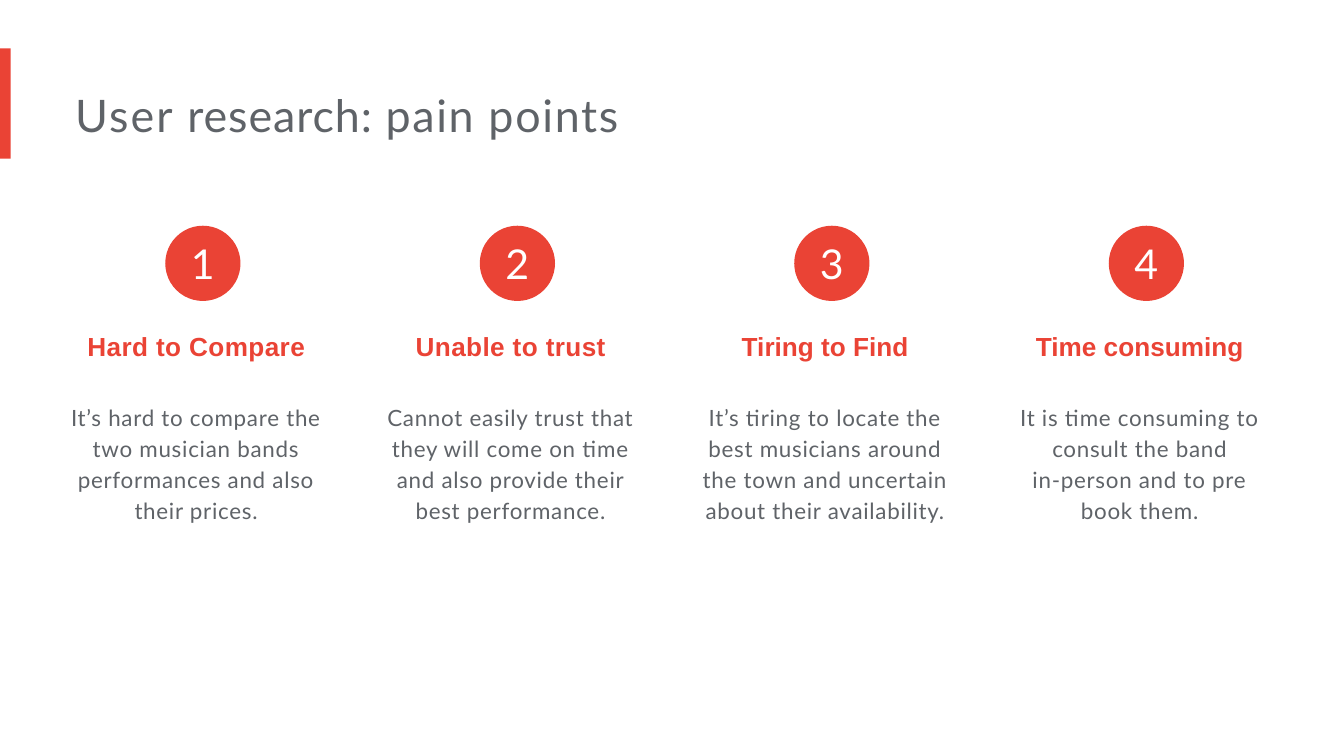
import pptx
import pptx.dml.color
import pptx.enum.shapes
import pptx.enum.text
import pptx.util

Inches = pptx.util.Inches
Align = pptx.enum.text.PP_ALIGN
Anchor = pptx.enum.text.MSO_ANCHOR
Shape = pptx.enum.shapes.MSO_SHAPE

RED, GREY, WHITE = "EA4335", "5F6368", "FFFFFF"

# Heading, its letter spacing, description paragraphs
PAIN_POINTS = [
    ("Hard to Compare", 0.2,
     ["It’s hard to compare the two musician bands performances and also their prices."]),
    ("Unable to trust", 0.2,
     ["Cannot easily trust that they will come on time and also provide their best performance."]),
    ("Tiring to Find", 0,
     ["It’s tiring to locate the best musicians around the town and uncertain about their availability."]),
    ("Time consuming", 0,
     ["It is time consuming to consult the band", "in-person and to pre book them."]),
]


def colour(value):
    return pptx.dml.color.RGBColor.from_string(value)


def set_frame(frame, anchor=Anchor.TOP):
    frame.word_wrap = True
    frame.auto_size = pptx.enum.text.MSO_AUTO_SIZE.NONE
    frame.vertical_anchor = anchor
    frame.margin_left = frame.margin_right = 0
    frame.margin_top = frame.margin_bottom = 0


def write(paragraph, text, size, ink, font="Lato", tracking=0.0, bold=False, align=Align.CENTER):
    """Add one formatted run; tracking is letter spacing in points."""
    paragraph.alignment = align
    run = paragraph.add_run()
    run.text = text
    run.font.name = font
    run.font.size = pptx.util.Pt(size)
    run.font.bold = bold
    run.font.color.rgb = colour(ink)
    run.font._element.set("spc", str(round(tracking * 100)))


def add_filled(slide, preset, left, top, width, height):
    shape = slide.shapes.add_shape(preset, Inches(left), Inches(top), Inches(width), Inches(height))
    shape.shadow.inherit = False
    shape.fill.solid()
    shape.fill.fore_color.rgb = colour(RED)
    shape.line.fill.background()
    return shape


def add_text_frame(slide, left, top, width, height):
    box = slide.shapes.add_textbox(Inches(left), Inches(top), Inches(width), Inches(height))
    set_frame(box.text_frame)
    return box.text_frame


def add_header(slide, left, top, height):
    # Accent bar at the slide edge
    add_filled(slide, Shape.RECTANGLE, left, top, 0.08, height)

    # Title
    title = slide.shapes.title
    title.left, title.top = Inches(left + 0.56), Inches(top + 0.29)
    title.width, title.height = Inches(4.1), Inches(0.43)
    set_frame(title.text_frame)
    paragraph = title.text_frame.paragraphs[0]
    for text, tracking in (("User ", 1.1), ("research: ", 0.5), ("pain points", 0.9)):
        write(paragraph, text, 24, GREY, tracking=tracking, align=Align.LEFT)


def add_pain_point(slide, left, top, width, number, heading, heading_tracking, description):
    # Numbered circle, slightly right of the column centre
    diameter = 0.56
    circle = add_filled(slide, Shape.OVAL, left + (width - diameter) / 2 + 0.05, top,
                        diameter, diameter)
    set_frame(circle.text_frame, anchor=Anchor.MIDDLE)
    write(circle.text_frame.paragraphs[0], str(number), 22, WHITE)

    # Heading
    heading_frame = add_text_frame(slide, left, top + 0.78, width, 0.24)
    write(heading_frame.paragraphs[0], heading, 14, RED, font="Arial",
          tracking=heading_tracking, bold=True)

    # Description
    description_frame = add_text_frame(slide, left, top + 1.3, width, 0.95)
    for index, text in enumerate(description):
        paragraph = description_frame.add_paragraph() if index else description_frame.paragraphs[0]
        paragraph.line_spacing = 1.15
        write(paragraph, text, 12, GREY, tracking=0.4)


def main():
    presentation = pptx.Presentation()
    presentation.slide_width = Inches(10)
    presentation.slide_height = Inches(10 * 9 / 16)
    slide = presentation.slides.add_slide(presentation.slide_layouts.get_by_name("Title Only"))

    add_header(slide, left=0, top=0.36, height=0.82)

    # Four equal columns
    column_pitch = 2.34
    for index, (heading, tracking, description) in enumerate(PAIN_POINTS):
        add_pain_point(slide, 0.52 + index * column_pitch, 1.68, 1.88,
                       index + 1, heading, tracking, description)

    presentation.save("out.pptx")


if __name__ == "__main__":
    main()
